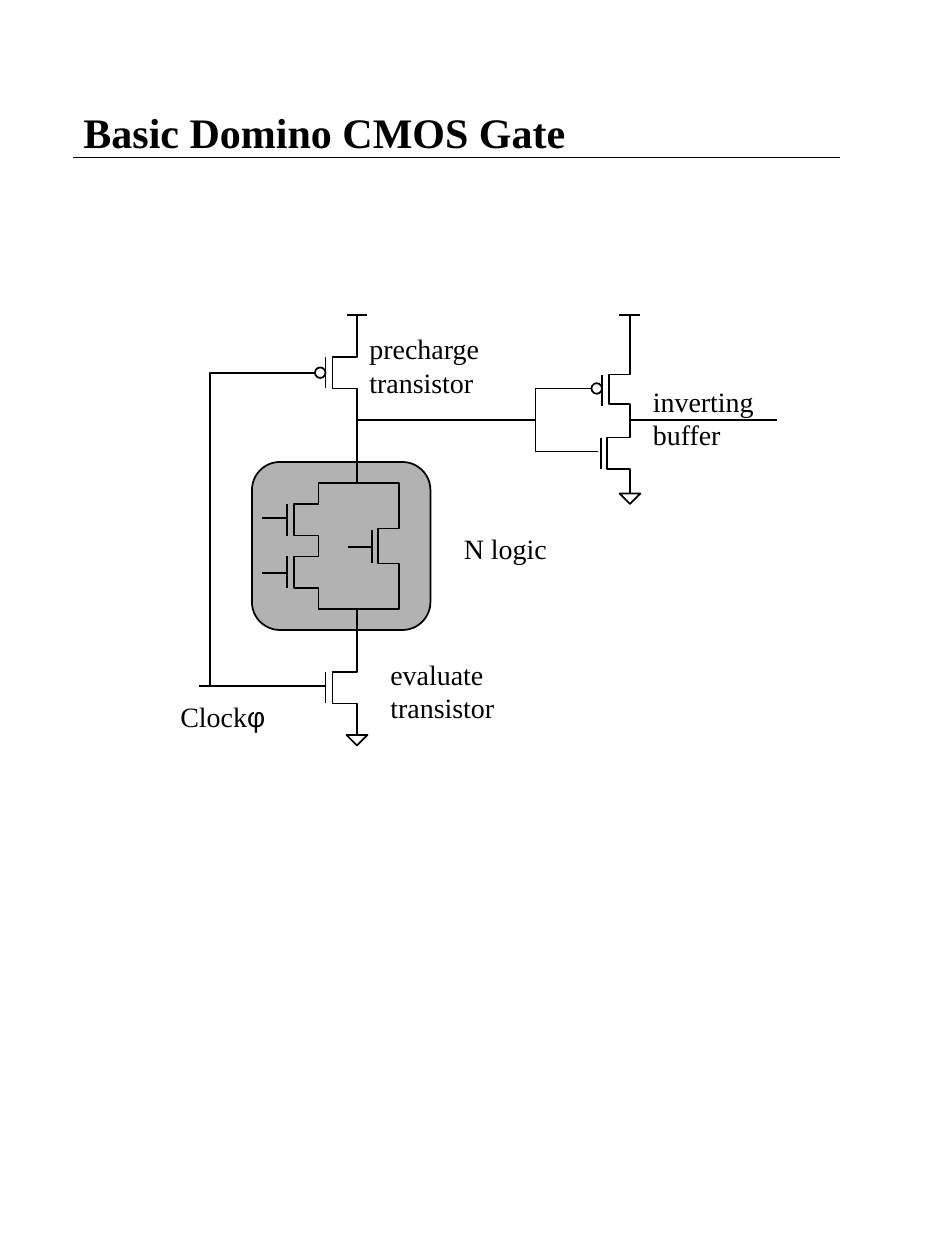
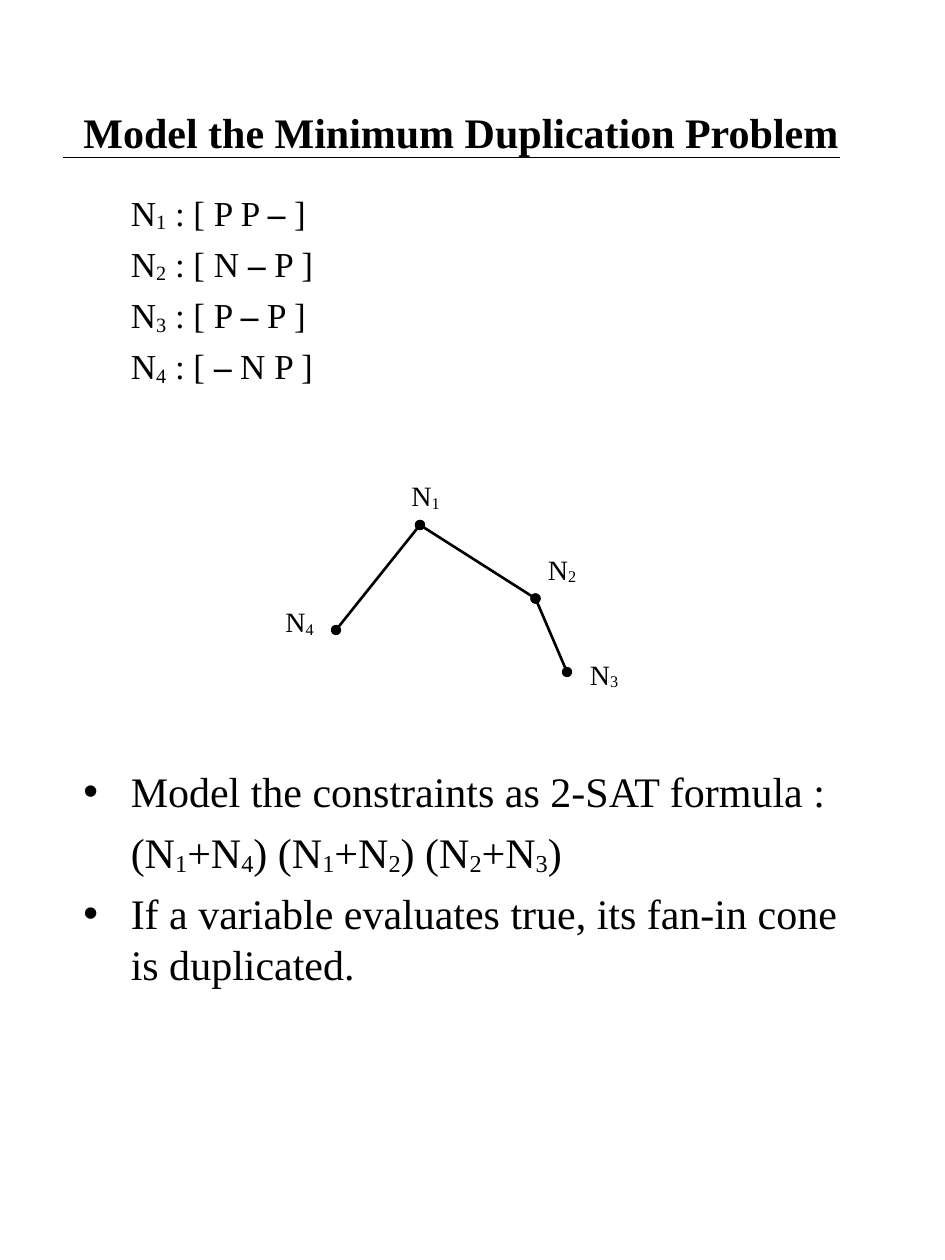
import itertools

import lxml.etree
import pptx
import pptx.dml.color
import pptx.enum.shapes
import pptx.enum.text
import pptx.oxml.ns
import pptx.util

Pt = pptx.util.Pt
SHAPES = pptx.enum.shapes.MSO_SHAPE
BLACK, WHITE, GRAY = "000000", "FFFFFF", "B2B2B2"
SERIF, SANS = "Times New Roman", "Arial"
RULE_Y, RULE_END = 90, 480

GATE_TITLE = "Basic Domino CMOS Gate"
LOGIC_BLOCK = (144, 264, 102, 96)
WIRES = [
    [(204, 180), (204, 204), (189.5, 204), (189.5, 222), (204, 222), (204, 276),
     (182, 276), (182, 288), (168, 288), (168, 306), (182, 306), (182, 318),
     (168, 318), (168, 336), (182, 336), (182, 348), (204, 348), (204, 384),
     (189.5, 384), (189.5, 402), (204, 402), (204, 420)],
    [(204, 276), (228, 276), (228, 302.5), (216, 302.5), (216, 322),
     (228, 322), (228, 348), (204, 348)],
    [(342, 222), (306, 222), (306, 258), (342, 258)],
    [(360, 180), (360, 214.5), (348, 214.5), (348, 231), (360, 231),
     (360, 250.5), (347, 250.5), (347, 268), (360, 268), (360, 282)],
    [(180, 213), (120, 213), (120, 392)],
]
GATE_PLATES = [(186, 204, 222), (164, 288, 306), (164, 318, 336), (212.5, 303, 322),
               (344, 214.5, 232), (343.5, 250.5, 268), (186, 384, 402)]
LEADS = [(204, 306, 240), (360, 444, 240), (114, 186, 392),
         (150, 164, 296), (150, 164, 327.5), (199, 213, 312.5)]
RAIL_WIDTH, RAIL_Y = 12, 180
RAILS = [204, 360]
GROUNDS = [(204, 420), (360, 282)]
BUBBLE = 6
BUBBLES = [(180, 210), (338, 219)]
GATE_LABELS = [
    ("Clockφ", 96, 396, 78),
    ("evaluate transistor", 216, 372, 126),
    ("precharge transistor", 204, 186, 126),
    ("inverting buffer", 366, 216, 102),
    ("N logic", 258, 300, 114),
]

MODEL_TITLE = "Model the Minimum Duplication Problem"
MODEL_LINES = [
    ("N_1 : [ P P – ]", 20, 0, False),
    ("N_2 : [ N – P ]", 20, 5, False),
    ("N_3 : [ P – P ]", 20, 5, False),
    ("N_4 : [ – N P ]", 20, 5, False),
    ("Model the constraints as 2-SAT formula :", 24, 216, True),
    ("(N_1+N_4) (N_1+N_2) (N_2+N_3)", 24, 6, False),
    ("If a variable evaluates true, its fan-in cone is duplicated.", 24, 6, True),
]
NODES = {"N_1": (240, 300), "N_2": (306, 342), "N_3": (324, 384), "N_4": (192, 360)}
EDGES = [("N_4", "N_1"), ("N_1", "N_2"), ("N_2", "N_3")]
NODE_LABELS = [("N_1", 228, 270, 36), ("N_2", 306, 312, 36),
               ("N_3", 330, 372, 36), ("N_4", 156, 342, 36)]


def color(value):
    return pptx.dml.color.RGBColor.from_string(value)


def place(shape, left, top, width, height):
    shape.left, shape.top, shape.width, shape.height = map(Pt, (left, top, width, height))


def style_para(para, size, bold=False):
    para.alignment = pptx.enum.text.PP_ALIGN.LEFT
    para.font.name = SERIF
    para.font.size = Pt(size)
    para.font.bold = bold
    para.font.color.rgb = color(BLACK)


def add_span(para, text):
    span = para.add_run()
    span.text = text
    return span


def write(para, text):
    first, *rest = text.split("_")
    for subscript, plain in [("", first)] + [(part[0], part[1:]) for part in rest]:
        if subscript:
            add_span(para, subscript)._r.get_or_add_rPr().set("baseline", "-10000")
        for mark, letters in itertools.groupby(plain, lambda c: c if c in "–φ" else ""):
            span = add_span(para, "".join(letters))
            if mark == "–":
                span.font.bold = True
            elif mark == "φ":
                span.font.name = SANS


def style_shape(shape, fill=None):
    shape.shadow.inherit = False
    if fill:
        shape.fill.solid()
        shape.fill.fore_color.rgb = color(fill)
    else:
        shape.fill.background()
    shape.line.color.rgb = color(BLACK)
    shape.line.width = Pt(1)


def add_shape(page, kind, left, top, width, height, fill=WHITE):
    shape = page.shapes.add_shape(kind, *map(Pt, (left, top, width, height)))
    style_shape(shape, fill)


def add_line(page, start, end, width=1, dots=False):
    line = page.shapes.add_connector(
        pptx.enum.shapes.MSO_CONNECTOR.STRAIGHT, *map(Pt, (*start, *end)))
    line.line.color.rgb = color(BLACK)
    line.line.width = Pt(width)
    qn = pptx.oxml.ns.qn
    if dots:
        for tag in ("a:headEnd", "a:tailEnd"):
            lxml.etree.SubElement(line.line._get_or_add_ln(), qn(tag), type="oval")
    lxml.etree.SubElement(line._element.spPr, qn("a:effectLst"))


def add_wire(page, points):
    builder = page.shapes.build_freeform(*points[0], scale=Pt(1))
    builder.add_line_segments(points[1:], close=False)
    style_shape(builder.convert_to_shape())


def add_label(page, text, left, top, width):
    box = page.shapes.add_textbox(Pt(left), Pt(top), Pt(width), Pt(26.6))
    box.text_frame.word_wrap = True
    box.text_frame.auto_size = pptx.enum.text.MSO_AUTO_SIZE.SHAPE_TO_FIT_TEXT
    para = box.text_frame.paragraphs[0]
    style_para(para, 16)
    write(para, text)


def add_page(deck, layout, title, top, height, rule_start):
    page = deck.slides.add_slide(deck.slide_layouts[layout])
    box = page.shapes.title
    place(box, 40.5, top, 459, height)
    box.text_frame.text = title
    box.text_frame.auto_size = pptx.enum.text.MSO_AUTO_SIZE.NONE
    box.text_frame.vertical_anchor = pptx.enum.text.MSO_ANCHOR.MIDDLE
    style_para(box.text_frame.paragraphs[0], 24, True)
    add_line(page, (rule_start, RULE_Y), (RULE_END, RULE_Y))
    return page


def build_gate(deck):
    page = add_page(deck, 5, GATE_TITLE, 30, 90, 42)
    add_shape(page, SHAPES.ROUNDED_RECTANGLE, *LOGIC_BLOCK, fill=GRAY)
    for points in WIRES:
        add_wire(page, points)
    for x, top, bottom in GATE_PLATES:
        add_line(page, (x, top), (x, bottom))
    for left, right, y in LEADS:
        add_line(page, (left, y), (right, y))
    for x in RAILS:
        add_line(page, (x - RAIL_WIDTH / 2, RAIL_Y), (x + RAIL_WIDTH / 2, RAIL_Y))
    for x, y in GROUNDS:
        add_shape(page, SHAPES.FLOWCHART_MERGE, x - RAIL_WIDTH / 2, y, RAIL_WIDTH, 6)
    for left, top in BUBBLES:
        add_shape(page, SHAPES.OVAL, left, top, BUBBLE, BUBBLE)
    for label in GATE_LABELS:
        add_label(page, *label)


def build_model(deck):
    page = add_page(deck, 1, MODEL_TITLE, 36, 78, 36)
    body = page.placeholders[1]
    place(body, 40.5, 102, 459, 558)
    frame = body.text_frame
    frame.auto_size = pptx.enum.text.MSO_AUTO_SIZE.NONE
    frame.margin_top = Pt(7.2)
    for index, (text, size, before, bullet) in enumerate(MODEL_LINES):
        para = frame.add_paragraph() if index else frame.paragraphs[0]
        para.space_before = Pt(before)
        if not bullet:
            properties = para._p.get_or_add_pPr()
            properties.set("indent", "0")
            lxml.etree.SubElement(properties, pptx.oxml.ns.qn("a:buNone"))
        style_para(para, size)
        write(para, text)
    for start, end in EDGES:
        add_line(page, NODES[start], NODES[end], 1.5, dots=True)
    for label in NODE_LABELS:
        add_label(page, *label)


def main():
    deck = pptx.Presentation()
    deck.slide_width, deck.slide_height = Pt(540), Pt(720)
    build_gate(deck)
    build_model(deck)
    deck.save("out.pptx")


if __name__ == "__main__":
    main()
